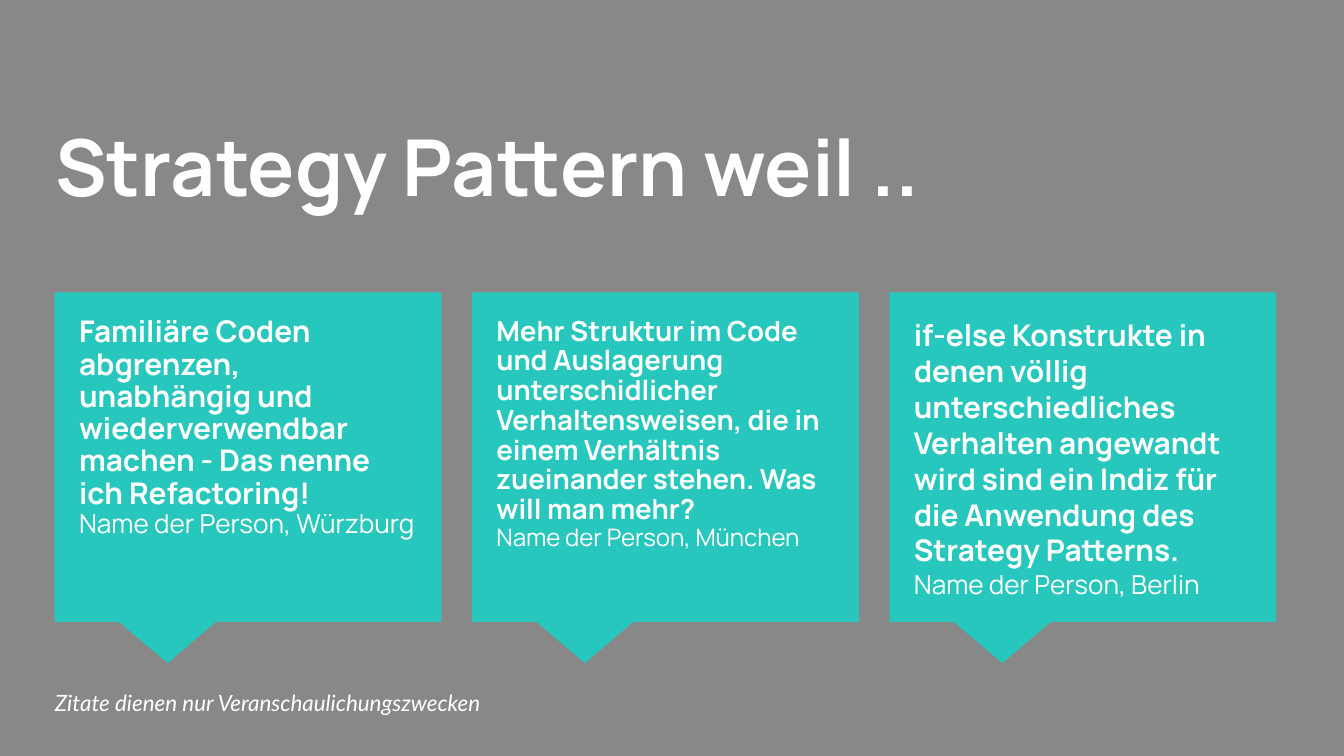
from dataclasses import dataclass

from pptx import Presentation
from pptx.dml.color import RGBColor
from pptx.enum import shapes, text
from pptx.util import Pt


@dataclass(frozen=True)
class Theme:
    background = RGBColor(0x88, 0x88, 0x88)
    bubble = RGBColor(0x27, 0xC7, 0xBD)
    ink = RGBColor(0xFF, 0xFF, 0xFF)
    main_font = "Manrope"
    note_font = "Lato"
    title_size = Pt(42)
    note_size = Pt(12)


theme = Theme()


def prepare_frame(frame, anchor=text.MSO_ANCHOR.TOP):
    """Set wrapping, anchor and even insets; return the first paragraph."""
    frame.word_wrap = True
    frame.auto_size = text.MSO_AUTO_SIZE.NONE
    frame.vertical_anchor = anchor
    frame.margin_left = frame.margin_right = Pt(7.2)
    frame.margin_top = frame.margin_bottom = Pt(7.2)
    paragraph = frame.paragraphs[0]
    paragraph.alignment = text.PP_ALIGN.LEFT
    return paragraph


def set_font(paragraph, name):
    paragraph.font.name = name
    paragraph.font.color.rgb = theme.ink


# Slide and background
deck = Presentation()
deck.slide_width, deck.slide_height = Pt(720), Pt(405)
slide = deck.slides.add_slide(deck.slide_layouts[5])
slide.background.fill.solid()
slide.background.fill.fore_color.rgb = theme.background

# Title
title = slide.shapes.title
title.left, title.top, title.width, title.height = Pt(22.3), Pt(56.2), Pt(679), Pt(80)
heading = prepare_frame(title.text_frame)
heading.text = "Strategy Pattern weil .."
set_font(heading, theme.main_font)
heading.font.size = theme.title_size
heading.font.bold = True

# Quotes: words, speaker, quote size, speaker size, line spacing, text height
quotes = [
    ("Familiäre Coden abgrenzen, unabhängig und wiederverwendbar machen - "
     "Das nenne ich Refactoring!",
     "Name der Person, Würzburg", 16, 14, 0.9, 157.7),
    ("Mehr Struktur im Code und Auslagerung unterschidlicher Verhaltensweisen, "
     "die in einem Verhältnis zueinander stehen. Was will man mehr?",
     "Name der Person, München", 14.8, 12.9, 0.9, 157.7),
    ("if-else Konstrukte in denen völlig unterschiedliches Verhalten angewandt "
     "wird sind ein Indiz für die Anwendung des Strategy Patterns.",
     "Name der Person, Berlin", 16, 14, 1.0, 190.8),
]
first_left, bubble_top, bubble_width, bubble_height = 29.3, 156.7, 207.2, 176.5
bubble_step = 223.6
text_offset = 6

for column, (words, speaker, words_size, speaker_size, spacing, height) in enumerate(quotes):
    left = first_left + column * bubble_step

    # Speech bubble
    bubble = slide.shapes.add_shape(
        shapes.MSO_SHAPE.RECTANGULAR_CALLOUT,
        Pt(left), Pt(bubble_top), Pt(bubble_width), Pt(bubble_height))
    bubble.adjustments[0], bubble.adjustments[1] = -0.208, 0.625
    bubble.shadow.inherit = False
    bubble.fill.solid()
    bubble.fill.fore_color.rgb = theme.bubble
    bubble.line.fill.background()

    # Quote and speaker
    quote_box = slide.shapes.add_textbox(
        Pt(left + text_offset), Pt(bubble_top + text_offset),
        Pt(bubble_width - 2 * text_offset), Pt(height))
    quote = prepare_frame(quote_box.text_frame)
    quote.line_spacing = spacing
    set_font(quote, theme.main_font)
    words_run = quote.add_run()
    words_run.text = words
    words_run.font.size, words_run.font.bold = Pt(words_size), True
    quote.add_line_break()
    speaker_run = quote.add_run()
    speaker_run.text = speaker
    speaker_run.font.size, speaker_run.font.bold = Pt(speaker_size), False

# Footnote
footnote = slide.shapes.add_textbox(Pt(22.3), Pt(366.5), Pt(491.8), Pt(20.2))
note = prepare_frame(footnote.text_frame, text.MSO_ANCHOR.MIDDLE)
note.text = "Zitate dienen nur Veranschaulichungszwecken"
set_font(note, theme.note_font)
note.font.size = theme.note_size
note.font.italic = True

deck.save("out.pptx")
